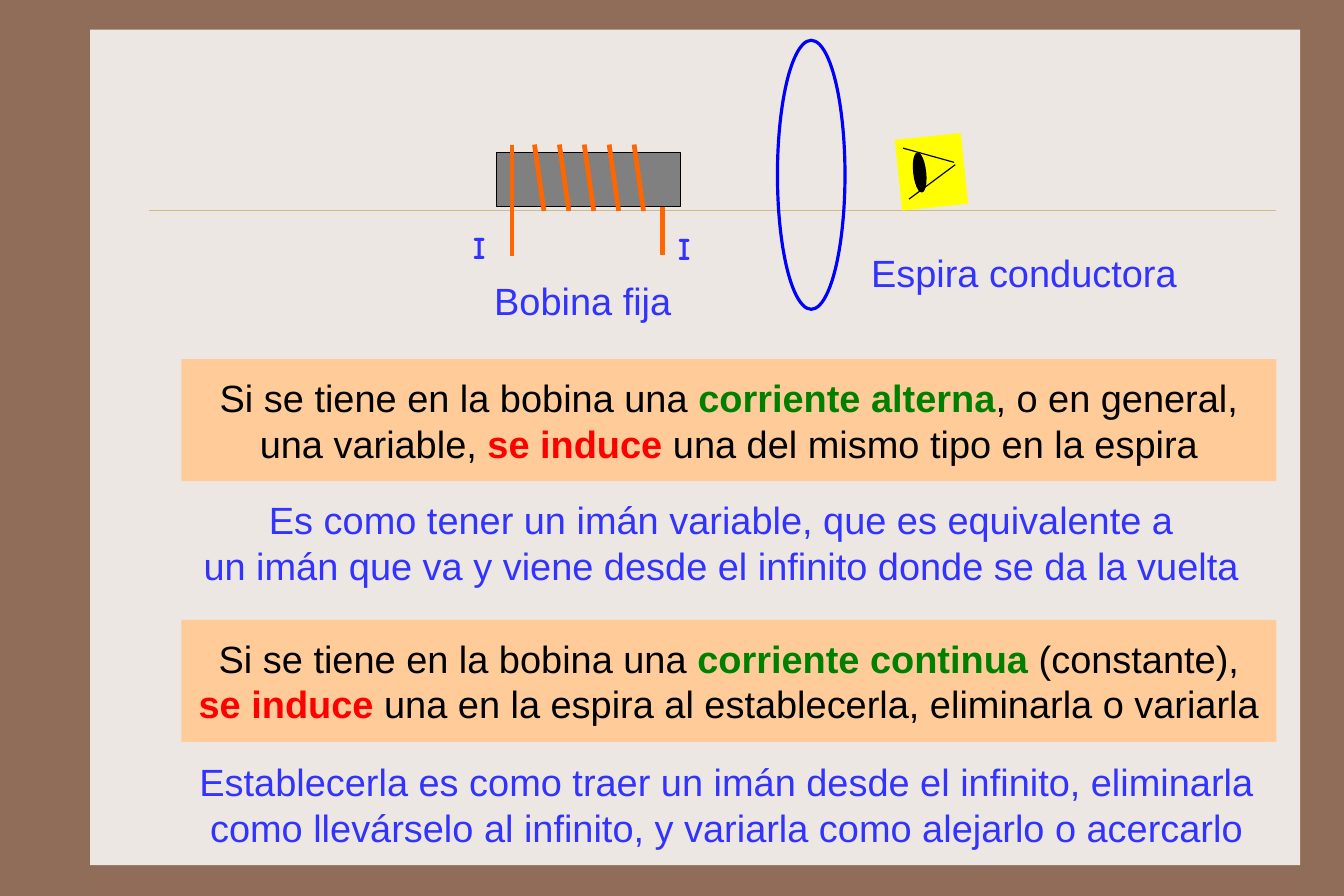
from dataclasses import dataclass

from lxml import etree
from pptx import Presentation
from pptx.dml.color import RGBColor
from pptx.enum.shapes import MSO_CONNECTOR as Connector, MSO_SHAPE as Preset
from pptx.enum.text import MSO_ANCHOR as Anchor, MSO_AUTO_SIZE as AutoSize, PP_ALIGN as Align
from pptx.oxml.ns import qn
from pptx.util import Emu, Pt

PX = 9525  # 96 px to the inch

BROWN = RGBColor(0x90, 0x6D, 0x58)
PAPER = RGBColor(0xED, 0xE7, 0xE3)
SAND = RGBColor(0xCB, 0xBD, 0x83)
PEACH = RGBColor(0xFF, 0xCC, 0x99)
YELLOW = RGBColor(0xFF, 0xFF, 0x00)
GRAY = RGBColor(0x80, 0x80, 0x80)
COPPER = RGBColor(0xFF, 0x66, 0x00)
LOOP_BLUE = RGBColor(0x00, 0x00, 0xFF)
TEXT_BLUE = RGBColor(0x33, 0x33, 0xFF)
GREEN = RGBColor(0x00, 0x80, 0x00)
RED = RGBColor(0xFF, 0x00, 0x00)
BLACK = RGBColor(0x00, 0x00, 0x00)


@dataclass(frozen=True)
class Box:
    left: int
    top: int
    width: int
    height: int

    def emu(self) -> list[Emu]:
        return [Emu(n * PX) for n in (self.left, self.top, self.width, self.height)]


@dataclass(frozen=True)
class Span:
    text: str
    color: RGBColor = BLACK
    bold: bool = False


@dataclass(frozen=True)
class Statement:
    box: Box
    lines: list[list[Span]]
    fill: RGBColor | None = None


@dataclass(frozen=True)
class Label:
    box: Box
    span: Span
    size: int = 24
    font: str = "Arial"


@dataclass(frozen=True)
class Stroke:
    x1: int
    y1: int
    x2: int
    y2: int
    color: RGBColor
    weight: float


def draw_shape(page, preset: Preset, box: Box, fill: RGBColor | None = None,
               line: RGBColor | None = None, weight: float = 0.75, rotation: float = 0):
    shape = page.shapes.add_shape(preset, *box.emu())
    shape.shadow.inherit = False
    shape.rotation = rotation
    if fill is None:
        shape.fill.background()
    else:
        shape.fill.solid()
        shape.fill.fore_color.rgb = fill
    if line is None:
        shape.line.fill.background()
    else:
        shape.line.color.rgb = line
        shape.line.width = Pt(weight)
    return shape


def draw_stroke(page, stroke: Stroke) -> None:
    ends = [Emu(n * PX) for n in (stroke.x1, stroke.y1, stroke.x2, stroke.y2)]
    connector = page.shapes.add_connector(Connector.STRAIGHT, *ends)
    connector.line.color.rgb = stroke.color
    connector.line.width = Pt(stroke.weight)
    etree.SubElement(connector._element.spPr, qn("a:effectLst"))


def set_margins(frame, side: int, end: int) -> None:
    frame.margin_left = frame.margin_right = Emu(side * PX)
    frame.margin_top = frame.margin_bottom = Emu(end * PX)


def add_span(para, span: Span, size: int = 24, font: str = "Arial") -> None:
    run = para.add_run()
    run.text = span.text
    run.font.name = font
    run.font.size = Pt(size)
    run.font.bold = span.bold
    run.font.color.rgb = span.color


def draw_statement(page, statement: Statement) -> None:
    if statement.fill is None:
        shape = page.shapes.add_textbox(*statement.box.emu())
    else:
        shape = draw_shape(page, Preset.RECTANGLE, statement.box, statement.fill)
    frame = shape.text_frame
    frame.word_wrap = True
    frame.vertical_anchor = Anchor.MIDDLE
    set_margins(frame, 10, 12)
    for index, line in enumerate(statement.lines):
        para = frame.add_paragraph() if index else frame.paragraphs[0]
        para.alignment = Align.CENTER
        for span in line:
            add_span(para, span)


def draw_label(page, label: Label) -> None:
    frame = page.shapes.add_textbox(*label.box.emu()).text_frame
    frame.word_wrap = False
    frame.auto_size = AutoSize.SHAPE_TO_FIT_TEXT
    set_margins(frame, 10, 9)
    add_span(frame.paragraphs[0], label.span, label.size, label.font)


STATEMENTS = [
    Statement(Box(153, 303, 924, 103), [
        [Span("Si se tiene en la bobina una "), Span("corriente alterna", GREEN, True),
         Span(", o en general,")],
        [Span("una variable, "), Span("se induce ", RED, True),
         Span("una del mismo tipo en la espira")],
    ], PEACH),
    Statement(Box(153, 523, 924, 103), [
        [Span("Si se tiene en la bobina una "), Span("corriente continua ", GREEN, True),
         Span("(constante),")],
        [Span("se induce ", RED, True),
         Span("una en la espira al establecerla, eliminarla o variarla")],
    ], PEACH),
    Statement(Box(152, 406, 913, 103), [
        [Span("Es como tener un imán variable, que es equivalente a", TEXT_BLUE)],
        [Span("un imán que va y viene desde el infinito donde se da la vuelta", TEXT_BLUE)],
    ]),
    Statement(Box(151, 627, 924, 103), [
        [Span("Establecerla es como traer un imán desde el infinito, eliminarla como "
              "llevárselo al infinito, y variarla como alejarlo o acercarlo", TEXT_BLUE)],
    ]),
]

CURRENT = Span("I", TEXT_BLUE, True)
LABELS = [
    Label(Box(725, 202, 279, 57), Span("Espira conductora", TEXT_BLUE)),
    Label(Box(407, 225, 170, 57), Span("Bobina fija", TEXT_BLUE)),
    Label(Box(389, 183, 34, 49), CURRENT, 20, "Comic Neue"),
    Label(Box(562, 184, 34, 49), CURRENT, 20, "Comic Neue"),
]

EYELIDS = [Stroke(767, 168, 806, 139, BLACK, 0.75), Stroke(805, 137, 762, 125, BLACK, 0.75)]
LEADS = [Stroke(559, 215, 559, 175, COPPER, 3), Stroke(432, 216, 432, 122, COPPER, 3)]
TURNS = [Stroke(x, 122, x + 8, 178, COPPER, 3) for x in range(451, 536, 21)]


def main() -> None:
    deck = Presentation()
    deck.slide_width, deck.slide_height = Emu(1134 * PX), Emu(756 * PX)
    page = deck.slides.add_slide(deck.slide_layouts[6])

    # Frame and paper
    page.background.fill.solid()
    page.background.fill.fore_color.rgb = BROWN
    draw_shape(page, Preset.RECTANGLE, Box(76, 25, 1021, 705), PAPER)
    draw_stroke(page, Stroke(126, 177, 1077, 177, SAND, 0.25))

    # Statements
    for statement in STATEMENTS:
        draw_statement(page, statement)

    # Conducting loop
    draw_shape(page, Preset.OVAL, Box(656, 34, 57, 227), line=LOOP_BLUE, weight=2)

    # Observer's eye
    draw_shape(page, Preset.RECTANGLE, Box(758, 115, 56, 60), YELLOW, rotation=354.1)
    for eyelid in EYELIDS:
        draw_stroke(page, eyelid)
    draw_shape(page, Preset.OVAL, Box(771, 129, 10, 33), BLACK, BLACK, rotation=173.6)

    # Coil
    draw_shape(page, Preset.RECTANGLE, Box(419, 129, 155, 45), GRAY, BLACK)
    for wire in LEADS + TURNS:
        draw_stroke(page, wire)

    # Labels
    for label in LABELS:
        draw_label(page, label)

    deck.save("out.pptx")


if __name__ == "__main__":
    main()
